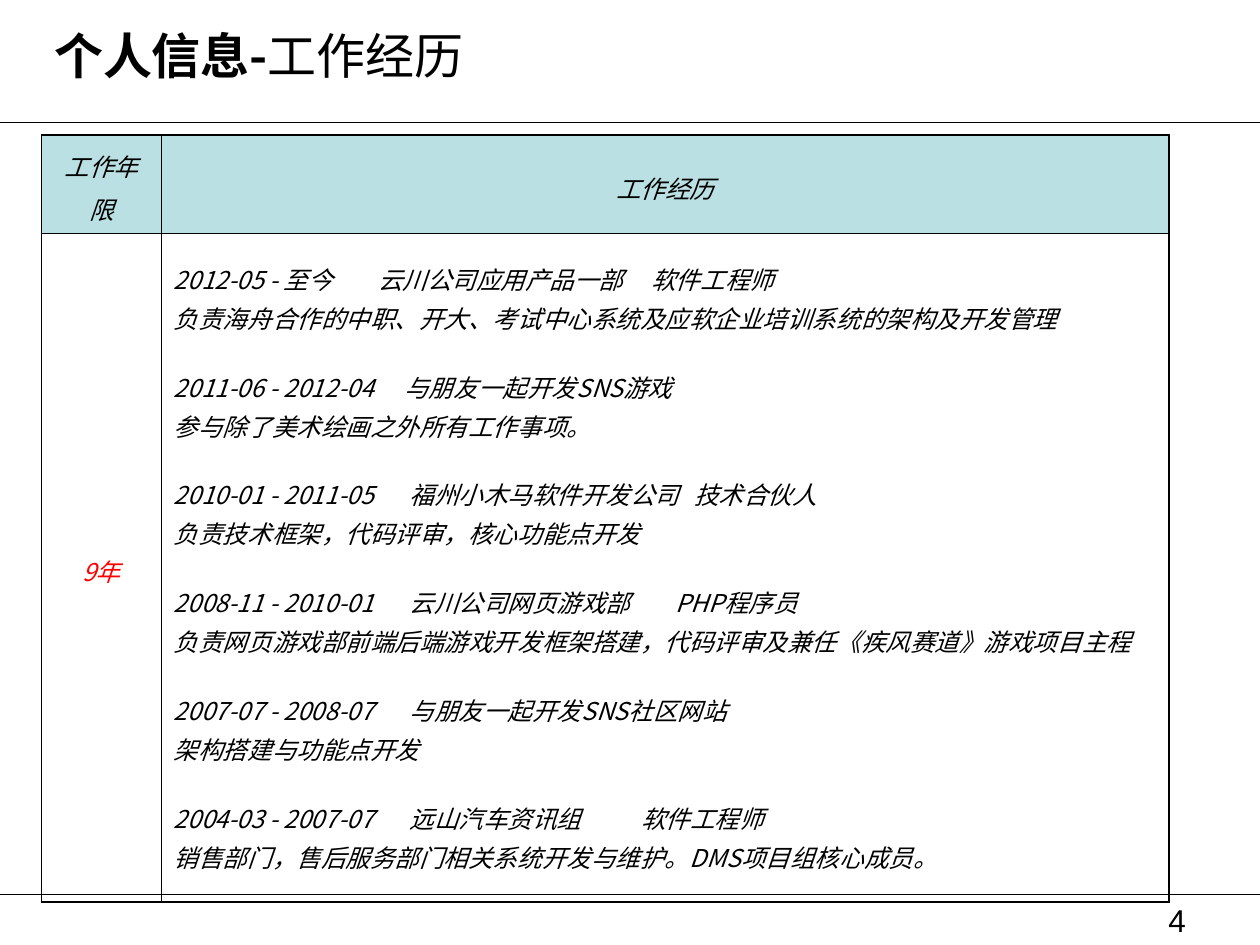
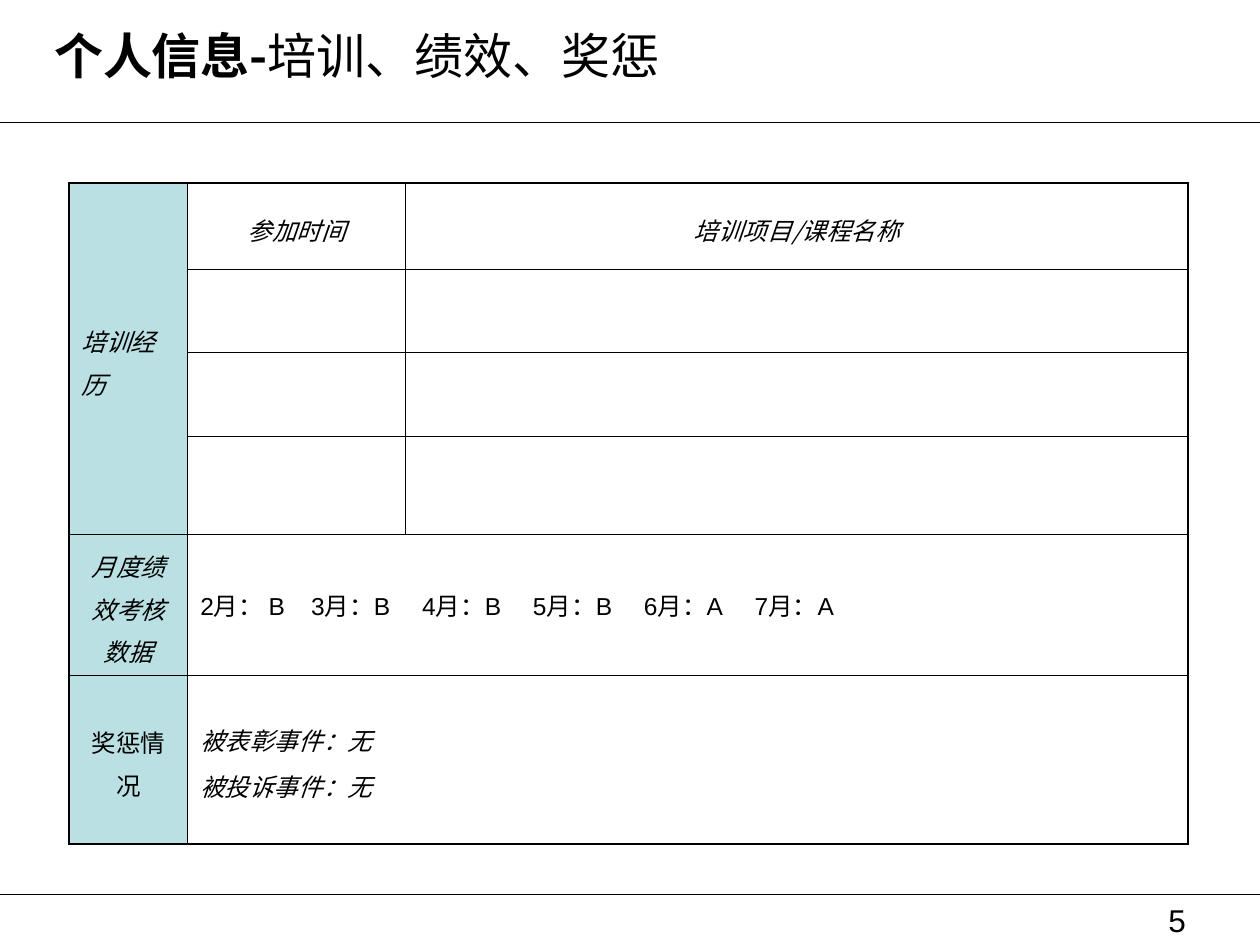
"""Build two personal-record slides: work history, and training with appraisal."""
from lxml import etree
from pptx import Presentation, util as u
from pptx.dml.color import RGBColor
from pptx.enum import shapes, text
from pptx.oxml.ns import qn

COLOURS = {"ink": "000000", "label": "BBE0E3", "alert": "FF0000"}
CJK, LATIN = "Noto Sans CJK SC", "Arial"
WIDTH, HEIGHT = 10, 7.5
RULES = [0.97, 7.1]
OUTER, INNER, HAIR = 1.08, 0.45, 0.26
LEFT, CENTRE, RIGHT = text.PP_ALIGN.LEFT, text.PP_ALIGN.CENTER, text.PP_ALIGN.RIGHT
MIDDLE = text.MSO_ANCHOR.MIDDLE
TABLE_LINE = {"alignment": LEFT, "line_spacing": 1.2, "space_before": u.Pt(1.8)}
CENTRED = TABLE_LINE | {"alignment": CENTRE}
JOB_LINE = TABLE_LINE | {"line_spacing": 1.0}
JOB_START = JOB_LINE | {"space_before": u.Pt(19)}
ITALIC = {"size": u.Pt(14), "italic": True}
UPRIGHT = ITALIC | {"italic": False}

JOBS = [
    (("2012-05 - 至今", "云川公司应用产品一部", "软件工程师"), (1.62, 3.79),
     "负责海舟合作的中职、开大、考试中心系统及应软企业培训系统的架构及开发管理"),
    (("2011-06 - 2012-04", "与朋友一起开发SNS游戏"), (1.83,),
     "参与除了美术绘画之外所有工作事项。"),
    (("2010-01 - 2011-05", "福州小木马软件开发公司", "技术合伙人"), (1.87, 4.13),
     "负责技术框架，代码评审，核心功能点开发"),
    (("2008-11 - 2010-01", "云川公司网页游戏部", "PHP程序员"), (1.87, 3.98),
     "负责网页游戏部前端后端游戏开发框架搭建，代码评审及兼任《疾风赛道》游戏项目主程"),
    (("2007-07 - 2008-07", "与朋友一起开发SNS社区网站"), (1.87,),
     "架构搭建与功能点开发"),
    (("2004-03 - 2007-07", "远山汽车资讯组", "软件工程师"), (1.87, 3.71),
     "销售部门，售后服务部门相关系统开发与维护。DMS项目组核心成员。"),
]
GRADES = ["2月： B", "3月：B", "4月：B", "5月：B", "6月：A", "7月：A"]
GRADE_STEP = 0.88


def line(words, layout=CENTRED, look=ITALIC, font=CJK, colour="ink", stops=()):
    return dict(words=words, layout=layout, look=look, font=font, colour=colour, stops=stops)


def job_lines():
    lines = []
    for heading, stops, duty in JOBS:
        layout = JOB_START if lines else JOB_LINE
        lines += [line("\t".join(heading), layout, stops=stops), line(duty, JOB_LINE)]
    return lines


PAGES = [
    {"number": 4, "topic": "工作经历", "origin": (0.33, 1.07),
     "columns": [0.95, 8], "rows": [0.78, 5.31], "merges": [],
     "labels": [(0, 0), (0, 1)],
     "cells": {
         (0, 0): [line("工作年限")],
         (0, 1): [line("工作经历")],
         (1, 0): [line("9年", colour="alert")],
         (1, 1): job_lines()}},
    {"number": 5, "topic": "培训、绩效、奖惩", "origin": (0.55, 1.45),
     "columns": [0.94, 1.73, 6.21], "rows": [0.69, 0.66, 0.66, 0.78, 1.12, 1.34],
     "merges": [((0, 0), (3, 0)), ((4, 1), (4, 2)), ((5, 1), (5, 2))],
     "labels": [(row, 0) for row in range(6)],
     "cells": {
         (0, 0): [line("培训经历", TABLE_LINE)],
         (0, 1): [line("参加时间")],
         (0, 2): [line("培训项目/课程名称")],
         (4, 0): [line("月度绩效考核数据")],
         (4, 1): [line("\t".join(GRADES), {"alignment": LEFT}, UPRIGHT, LATIN,
                       stops=[GRADE_STEP * k for k in range(1, len(GRADES))])],
         (5, 0): [line("奖惩情况", look=UPRIGHT)],
         (5, 1): [line("被表彰事件：无", TABLE_LINE), line("被投诉事件：无", TABLE_LINE)]}},
]


def rgb(name):
    return RGBColor.from_string(COLOURS[name])


def assign(target, values):
    for name, value in values.items():
        setattr(target, name, value)


def add_span(para, words, look, font=CJK, colour="ink"):
    span = para.add_run()
    span.text = words
    assign(span.font, look | {"name": font})
    span.font.color.rgb = rgb(colour)
    etree.SubElement(span.font._element, qn("a:ea"), typeface=CJK)


def write_lines(frame, lines):
    for index, item in enumerate(lines):
        para = frame.add_paragraph() if index else frame.paragraphs[0]
        assign(para, item["layout"])
        if item["stops"]:
            tabs = etree.SubElement(para._p.get_or_add_pPr(), qn("a:tabLst"))
            for stop in item["stops"]:
                etree.SubElement(tabs, qn("a:tab"), pos=str(u.Inches(stop)), algn="l")
        add_span(para, item["words"], item["look"], item["font"], item["colour"])


def add_borders(cell, widths):
    props = cell._tc.get_or_add_tcPr()
    for index, (side, width) in enumerate(widths.items()):
        border = etree.Element(qn("a:ln" + side), w=str(u.Pt(width)))
        fill = etree.SubElement(border, qn("a:solidFill"))
        etree.SubElement(fill, qn("a:srgbClr"), val=COLOURS["ink"])
        props.insert(index, border)


def add_frame(page, topic, number):
    for level in RULES:
        rule = page.shapes.add_connector(
            shapes.MSO_CONNECTOR.STRAIGHT, 0, u.Inches(level), u.Inches(WIDTH), u.Inches(level))
        rule.line.width = u.Pt(HAIR)
        rule.line.color.rgb = rgb("ink")
        etree.SubElement(rule._element.spPr, qn("a:effectLst"))
    title = page.shapes.title
    assign(title, dict(left=u.Inches(0.33), top=u.Inches(0.2),
                       width=u.Inches(9), height=u.Inches(0.47)))
    assign(title.text_frame, dict(vertical_anchor=MIDDLE, word_wrap=True,
                                  auto_size=text.MSO_AUTO_SIZE.NONE))
    para = title.text_frame.paragraphs[0]
    para.alignment = LEFT
    for words, bold in (("个人信息-", True), (topic, False)):
        add_span(para, words, {"size": u.Pt(28), "bold": bold})
    box = page.shapes.add_textbox(*map(u.Inches, (8.93, RULES[1], 0.58, 0.34)))
    box.text_frame.word_wrap = True
    write_lines(box.text_frame, [line(str(number), {"alignment": RIGHT}, {"size": u.Pt(18)}, LATIN)])


def add_grid(page, content):
    columns, rows = content["columns"], content["rows"]
    place = (*content["origin"], sum(columns), sum(rows))
    table = page.shapes.add_table(len(rows), len(columns), *map(u.Inches, place)).table
    assign(table, dict(first_row=False, horz_banding=False))
    for column, width in zip(table.columns, columns):
        column.width = u.Inches(width)
    for row, height in zip(table.rows, rows):
        row.height = u.Inches(height)
    for first, last in content["merges"]:
        table.cell(*first).merge(table.cell(*last))
    for r in range(len(rows)):
        for c in range(len(columns)):
            cell = table.cell(r, c)
            cell.vertical_anchor = MIDDLE
            assign(cell, dict(margin_left=u.Inches(0.1), margin_right=u.Inches(0.1),
                              margin_top=u.Inches(0.05), margin_bottom=u.Inches(0.05)))
            if (r, c) in content["labels"]:
                cell.fill.solid()
                cell.fill.fore_color.rgb = rgb("label")
            else:
                cell.fill.background()
            across, down = (cell.span_width, cell.span_height) if cell.is_merge_origin else (1, 1)
            edges = {"L": c == 0, "R": c + across == len(columns),
                     "T": r == 0, "B": r + down == len(rows)}
            add_borders(cell, {side: OUTER if edge else INNER for side, edge in edges.items()})
            write_lines(cell.text_frame, content["cells"].get((r, c), []))


deck = Presentation()
assign(deck, dict(slide_width=u.Inches(WIDTH), slide_height=u.Inches(HEIGHT)))
for content in PAGES:
    page = deck.slides.add_slide(deck.slide_layouts[5])
    add_frame(page, content["topic"], content["number"])
    add_grid(page, content)
deck.save("out.pptx")
